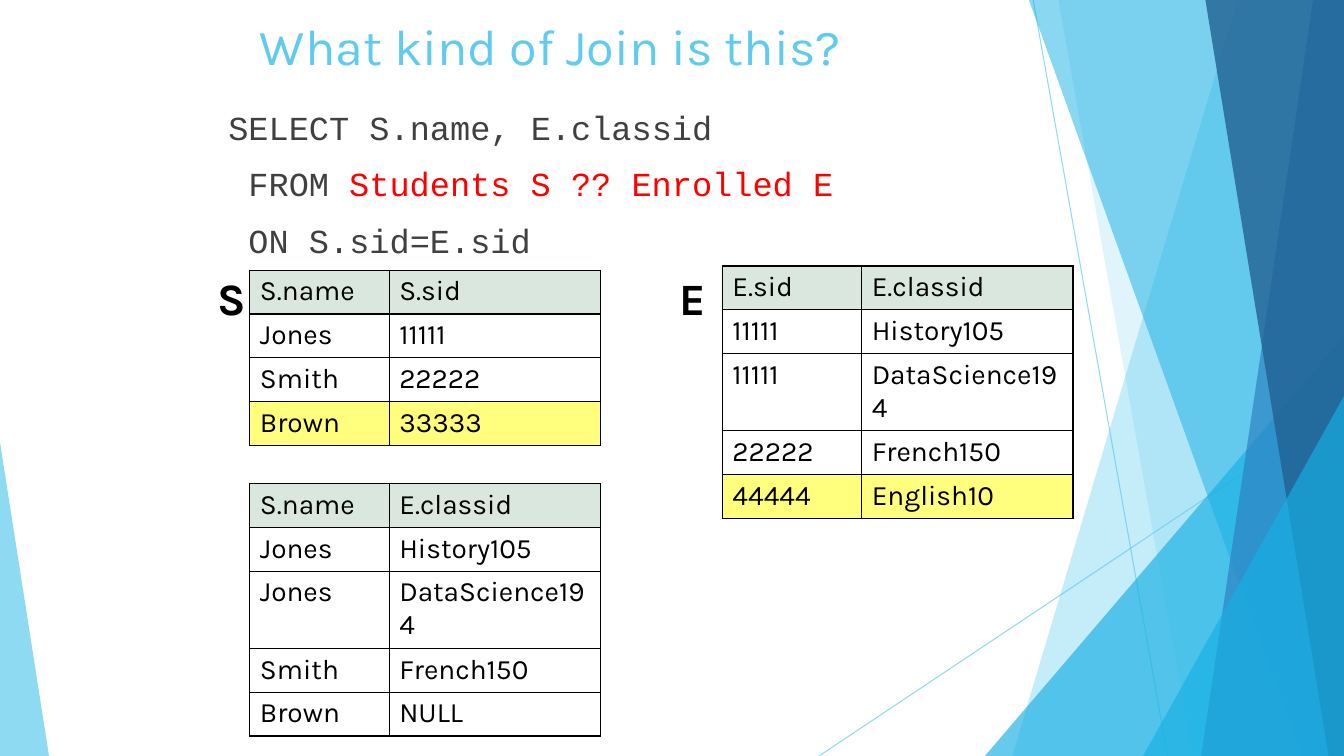
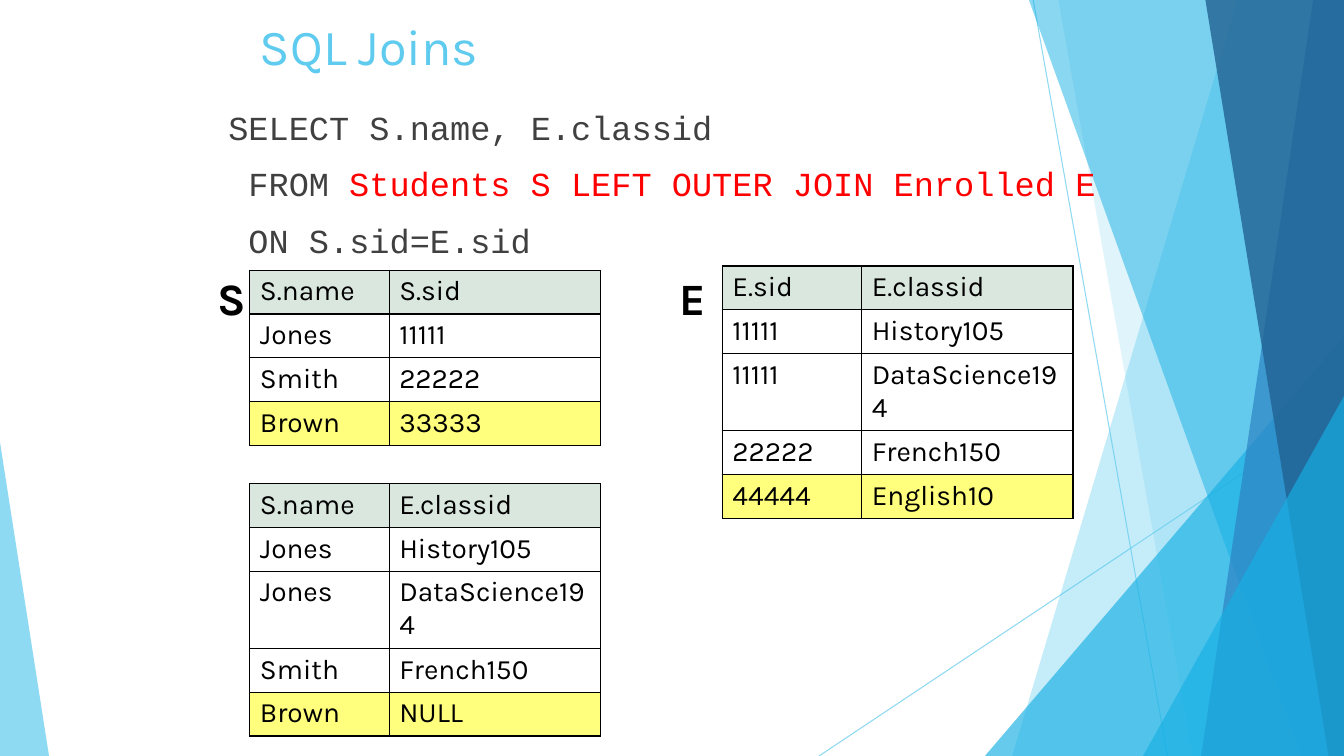
import dataclasses

import lxml.etree
import pptx
import pptx.dml.color
import pptx.enum.shapes
import pptx.enum.text
import pptx.oxml.ns
import pptx.util

Pt = pptx.util.Pt
qn = pptx.oxml.ns.qn


@dataclasses.dataclass(frozen=True)
class Theme:
    width: float = 960
    height: float = 540
    sky: str = "5FCBEF"
    azure: str = "17B0E4"
    blue: str = "2E83C3"
    navy: str = "226292"
    ink: str = "000000"
    code: str = "404040"
    emphasis: str = "FF0000"
    header: str = "D9E7DF"
    highlight: str = "FFFF7D"
    sans: str = "Karla"
    mono: str = "Courier New"
    title_size: float = 36
    label_size: float = 32
    code_size: float = 24
    cell_size: float = 20


def rgb(color):
    return pptx.dml.color.RGBColor.from_string(color)


class Deck:
    def __init__(self, theme):
        self.theme = theme
        self.presentation = pptx.Presentation()
        self.presentation.slide_width = Pt(theme.width)
        self.presentation.slide_height = Pt(theme.height)
        self.layout = self.presentation.slide_layouts[5]
        self.slide = None

    def start(self, title):
        is_first = self.slide is None
        self.slide = self.presentation.slides.add_slide(self.layout)
        if is_first:
            self.backdrop()
        self.title(title)

    def backdrop(self):
        theme = self.theme
        facets = self.slide.shapes.add_group_shape()
        self.ray(facets, 738, 0, 834, theme.height)
        self.ray(facets, theme.width, 290, 585, theme.height)
        self.band(facets, 884, 723, theme.sky, 36)
        self.band(facets, 756, 852, theme.sky, 20)
        self.triangle(facets, 703.5, 256.5, 300, 1, theme.azure, 66)
        self.band(facets, 735, 929.5, theme.azure, 50)
        self.band(facets, 938, 858, theme.blue, 70)
        self.band(facets, 861, 949, theme.navy, 80)
        self.triangle(facets, 816.5, 143.5, 257, 1, theme.azure, 66)
        self.triangle(facets, 0, 35, 224, 0, theme.sky, 70)
        for number, properties in enumerate(facets.element.iter(qn("p:cNvPr")), 100):
            properties.set("id", str(number))
        self.layout.shapes.element.append(facets.element)

    def ray(self, facets, x1, y1, x2, y2):
        ray = facets.shapes.add_connector(
            pptx.enum.shapes.MSO_CONNECTOR.STRAIGHT, Pt(x1), Pt(y1), Pt(x2), Pt(y2))
        ray.line.width = Pt(0.75)
        ray.line.color.rgb = rgb(self.theme.sky)
        self.opacity(ray, 70)
        lxml.etree.SubElement(ray.element.spPr, qn("a:effectLst"))

    def band(self, facets, top_x, bottom_x, color, percent):
        right, bottom = Pt(self.theme.width), Pt(self.theme.height)
        outline = facets.shapes.build_freeform(Pt(top_x), 0)
        outline.add_line_segments([(right, 0), (right, bottom), (Pt(bottom_x), bottom)])
        self.tint(outline.convert_to_shape(), color, percent)

    def triangle(self, facets, left, width, height, apex, color, percent):
        triangle = facets.shapes.add_shape(
            pptx.enum.shapes.MSO_SHAPE.ISOSCELES_TRIANGLE,
            Pt(left), Pt(self.theme.height - height), Pt(width), Pt(height))
        triangle.adjustments[0] = apex
        self.tint(triangle, color, percent)

    def tint(self, shape, color, percent):
        shape.shadow.inherit = False
        shape.line.fill.background()
        shape.fill.solid()
        shape.fill.fore_color.rgb = rgb(color)
        self.opacity(shape, percent)

    def opacity(self, shape, percent):
        color = next(shape.element.iter(qn("a:srgbClr")))
        lxml.etree.SubElement(color, qn("a:alpha"), val=str(percent * 1000))

    def text_run(self, paragraph, text, size, color, font=None, bold=False):
        run = paragraph.add_run()
        run.text = text
        run.font.name = font or self.theme.sans
        run.font.size = Pt(size)
        run.font.bold = bold
        run.font.color.rgb = rgb(color)

    def title(self, text):
        heading = self.slide.shapes.title
        heading.left, heading.top = Pt(178.5), Pt(6)
        heading.width, heading.height = Pt(610.5), Pt(65.5)
        frame = heading.text_frame
        frame.word_wrap = True
        frame.auto_size = pptx.enum.text.MSO_AUTO_SIZE.NONE
        frame.vertical_anchor = pptx.enum.text.MSO_ANCHOR.TOP
        frame.margin_top = Pt(5)
        paragraph = frame.paragraphs[0]
        paragraph.alignment = pptx.enum.text.PP_ALIGN.LEFT
        self.text_run(paragraph, text, self.theme.title_size, self.theme.sky)

    def query(self, lines):
        theme = self.theme
        frame = self.slide.shapes.add_textbox(
            Pt(156), Pt(71.5), Pt(661.5), Pt(445.5)).text_frame
        frame.word_wrap = True
        for index, (plain, marked) in enumerate(lines):
            paragraph = frame.add_paragraph() if index else frame.paragraphs[0]
            paragraph.space_before = Pt(10)
            paragraph.line_spacing = 1.05
            self.text_run(paragraph, plain, theme.code_size, theme.code, theme.mono)
            if marked:
                self.text_run(paragraph, marked, theme.code_size, theme.emphasis, theme.mono)

    def table(self, left, top, rows, highlight_last):
        theme = self.theme
        widths = (99.5, 151)
        table = self.slide.shapes.add_table(
            len(rows), len(widths), Pt(left), Pt(top),
            Pt(sum(widths)), Pt(29.5 * len(rows))).table
        table.first_row = table.horz_banding = False
        for column, width in zip(table.columns, widths):
            column.width = Pt(width)
        fills = {0: theme.header}
        if highlight_last:
            fills[len(rows) - 1] = theme.highlight
        for r, row in enumerate(rows):
            for c, text in enumerate(row):
                cell = table.cell(r, c)
                self.text_run(cell.text_frame.paragraphs[0], text, theme.cell_size, theme.ink)
                self.borders(cell)
                if r in fills:
                    cell.fill.solid()
                    cell.fill.fore_color.rgb = rgb(fills[r])
                else:
                    cell.fill.background()

    def borders(self, cell):
        properties = cell._tc.get_or_add_tcPr()
        for side in ("a:lnL", "a:lnR", "a:lnT", "a:lnB"):
            line = lxml.etree.SubElement(properties, qn(side), w=str(int(Pt(1))))
            fill = lxml.etree.SubElement(line, qn("a:solidFill"))
            lxml.etree.SubElement(fill, qn("a:srgbClr"), val=self.theme.ink)

    def label(self, left, width, text):
        frame = self.slide.shapes.add_textbox(
            Pt(left), Pt(190), Pt(width), Pt(46)).text_frame
        frame.word_wrap = False
        frame.auto_size = pptx.enum.text.MSO_AUTO_SIZE.SHAPE_TO_FIT_TEXT
        self.text_run(frame.paragraphs[0], text, self.theme.label_size, self.theme.ink, bold=True)


STUDENTS = [("S.name", "S.sid"), ("Jones", "11111"), ("Smith", "22222"), ("Brown", "33333")]
ENROLLED = [("E.sid", "E.classid"), ("11111", "History105"), ("11111", "DataScience194"),
            ("22222", "French150"), ("44444", "English10")]
RESULT = [("S.name", "E.classid"), ("Jones", "History105"), ("Jones", "DataScience194"),
          ("Smith", "French150"), ("Brown", "NULL")]


def join_slide(deck, title, join, highlight_result):
    deck.start(title)
    deck.query([
        ("SELECT S.name, E.classid", ""),
        (" FROM ", f"Students S {join} Enrolled E"),
        (" ON S.sid=E.sid", ""),
    ])
    deck.table(178.5, 193, STUDENTS, True)
    deck.table(516, 190, ENROLLED, True)
    deck.table(178.5, 345.5, RESULT, highlight_result)
    deck.label(478, 33, "E")
    deck.label(148.5, 31, "S")


def main():
    deck = Deck(Theme())
    join_slide(deck, "What kind of Join is this?", "??", False)
    join_slide(deck, "SQL Joins", "LEFT OUTER JOIN", True)
    deck.presentation.save("out.pptx")


if __name__ == "__main__":
    main()
